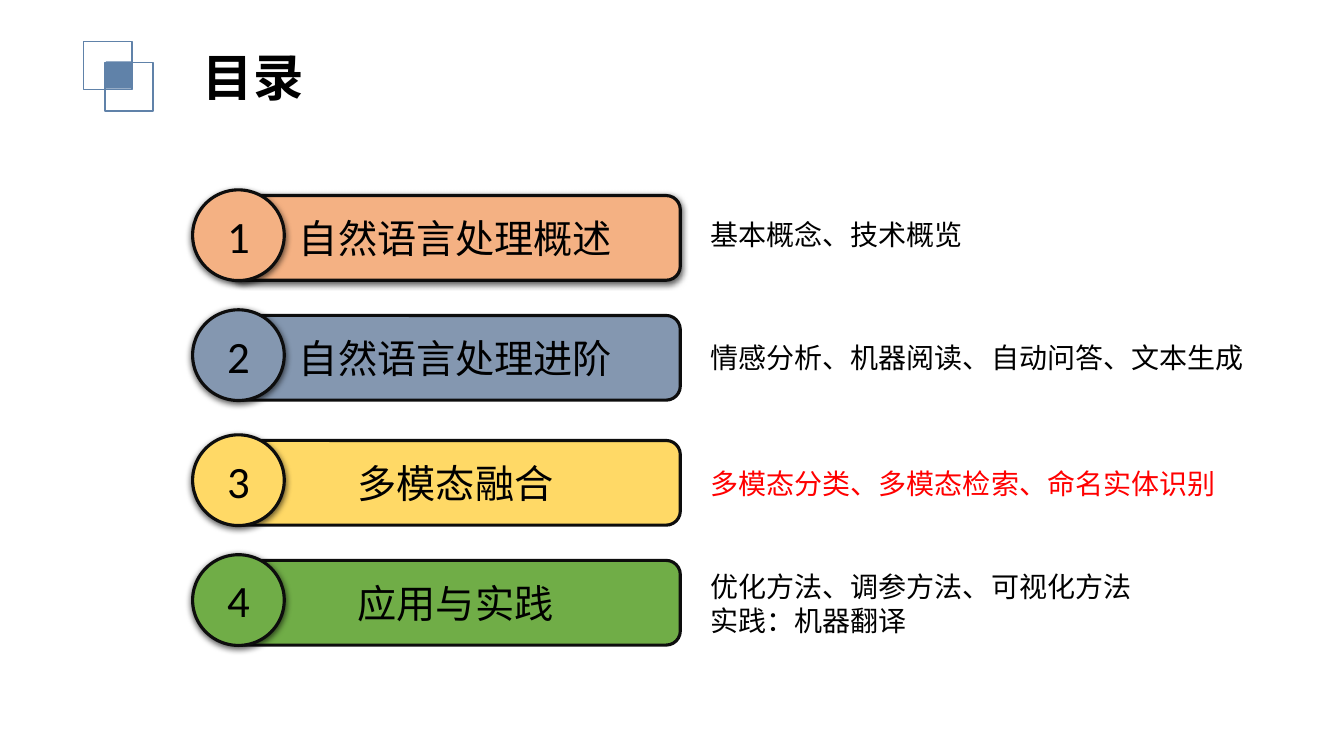
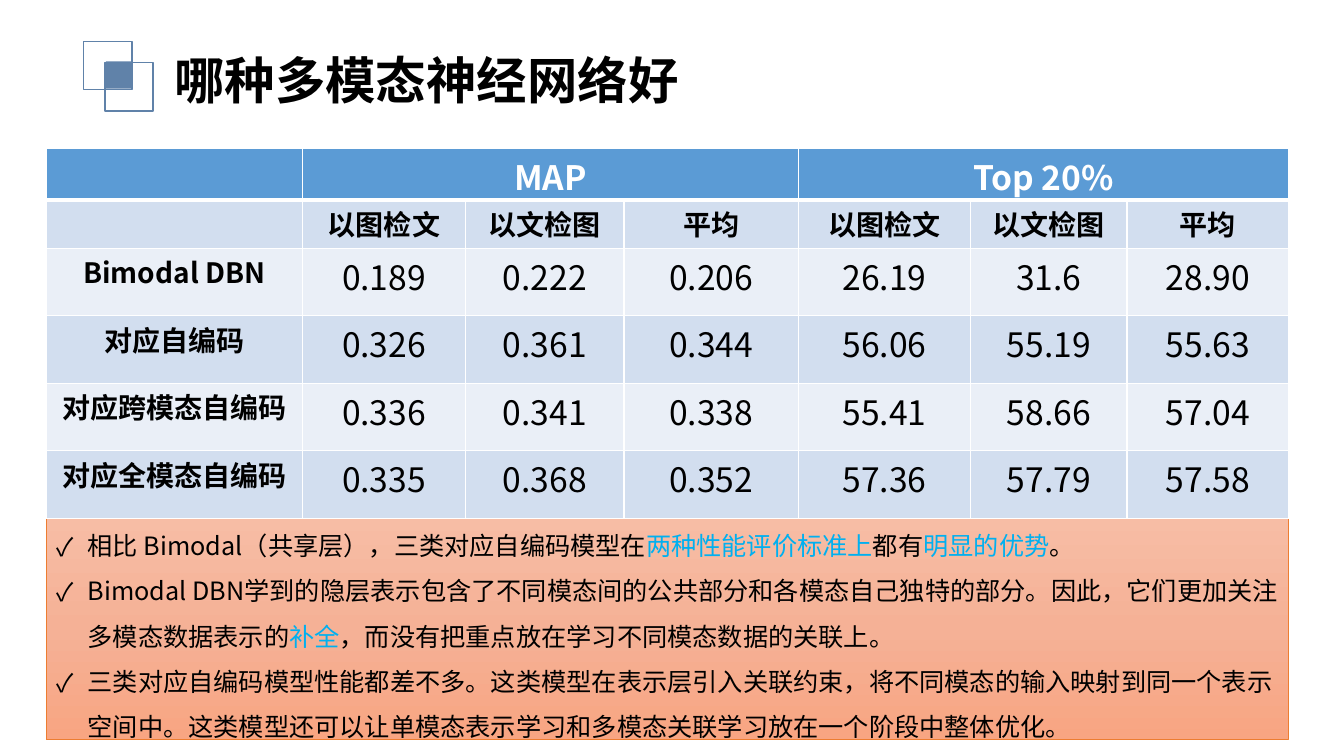
from copy import deepcopy

from lxml.etree import SubElement
from pptx import Presentation
from pptx.dml.color import RGBColor
from pptx.enum.shapes import MSO_SHAPE as Shape
from pptx.enum.text import MSO_ANCHOR as Anchor, MSO_AUTO_SIZE as AutoSize, PP_ALIGN as Align
from pptx.oxml.ns import qn
from pptx.util import Inches, Pt

WIDTH, HEIGHT = Inches(13.33), Inches(7.5)
CJK, LATIN = "Noto Sans CJK SC", "Calibri"

BLACK = RGBColor(0, 0, 0)
WHITE = RGBColor(255, 255, 255)
RED = RGBColor(255, 0, 0)
INK = RGBColor(0x0D, 0x0D, 0x0D)
STEEL = RGBColor(0x60, 0x82, 0xA9)
PEACH = RGBColor(0xF4, 0xB1, 0x83)
SLATE = RGBColor(0x84, 0x97, 0xB0)
YELLOW = RGBColor(0xFF, 0xD9, 0x66)
GREEN = RGBColor(0x70, 0xAD, 0x47)
HEADER_BLUE = RGBColor(0x5B, 0x9B, 0xD5)
BAND_DARK = RGBColor(0xD2, 0xDE, 0xEF)
BAND_LIGHT = RGBColor(0xEA, 0xEF, 0xF7)
SKY = RGBColor(0x00, 0xB0, 0xF0)
ORANGE = RGBColor(0xED, 0x7D, 0x31)
FINDINGS_STOPS = (
    (0, RGBColor(0xF7, 0xBD, 0xA5)),
    (0.5, RGBColor(0xF5, 0xB1, 0x96)),
    (1, RGBColor(0xF8, 0xA5, 0x82)),
)

CHAPTERS = (
    (25.87, PEACH, "自然语言处理概述", 28.13, BLACK, ("基本概念、技术概览",)),
    (41.73, SLATE, "自然语言处理进阶", 44.4, BLACK, ("情感分析、机器阅读、自动问答、文本生成",)),
    (58.27, YELLOW, "多模态融合", 61.07, RED, ("多模态分类、多模态检索、命名实体识别",)),
    (74.13, GREEN, "应用与实践", 74.67, BLACK, ("优化方法、调参方法、可视化方法", "实践：机器翻译")),
)

METRICS = ("以图检文", "以文检图", "平均")
RESULTS = (
    ("", "MAP", "", "", "Top 20%", "", ""),
    ("",) + METRICS * 2,
    ("Bimodal DBN", "0.189", "0.222", "0.206", "26.19", "31.6", "28.90"),
    ("对应自编码", "0.326", "0.361", "0.344", "56.06", "55.19", "55.63"),
    ("对应跨模态自编码", "0.336", "0.341", "0.338", "55.41", "58.66", "57.04"),
    ("对应全模态自编码", "0.335", "0.368", "0.352", "57.36", "57.79", "57.58"),
)
COLUMN_SHARES = (19.05, 12.15, 11.78, 12.98, 12.83, 11.63, 12)
ROW_SHARES = (6.8, 6.4) + (8.93,) * 4

FINDINGS = (
    (
        ("相比 Bimodal（共享层），三类对应自编码模型在", BLACK),
        ("两种性能评价标准上", SKY),
        ("都有", BLACK),
        ("明显的优势", SKY),
        ("。", BLACK),
    ),
    (
        ("Bimodal DBN学到的隐层表示包含了不同模态间的公共部分和各模态自己独特的部分。"
         "因此，它们更加关注多模态数据表示的", BLACK),
        ("补全", SKY),
        ("，而没有把重点放在学习不同模态数据的关联上。", BLACK),
    ),
    (
        ("三类对应自编码模型性能都差不多。这类模型在表示层引入关联约束，"
         "将不同模态的输入映射到同一个表示空间中。"
         "这类模型还可以让单模态表示学习和多模态关联学习放在一个阶段中整体优化。", BLACK),
    ),
)


def across(share):
    return round(WIDTH * share / 100)


def down(share):
    return round(HEIGHT * share / 100)


def area(left, top, width, height):
    return across(left), down(top), across(width), down(height)


def place(holder, *shares):
    holder.left, holder.top, holder.width, holder.height = area(*shares)


def add_run(paragraph, text, size, color=BLACK, bold=False, face=CJK):
    run = paragraph.add_run()
    run.text = text
    font = run.font
    font.size, font.bold, font.name = Pt(size), bold, face
    font.color.rgb = color
    SubElement(font._element, qn("a:ea"), typeface=face)


def add_shadow(shape):
    effects = shape._element.spPr.find(qn("a:effectLst"))
    shadow = SubElement(effects, qn("a:outerShdw"), blurRad=str(Pt(4.5)),
                        dist=str(Pt(1.5)), dir="5400000", rotWithShape="0")
    tint = SubElement(shadow, qn("a:srgbClr"), val=str(BLACK))
    SubElement(tint, qn("a:alpha"), val="63000")


def add_outlined(slide, kind, shares, fill=None, line=None, weight=1):
    shape = slide.shapes.add_shape(kind, *area(*shares))
    shape.shadow.inherit = False
    if fill is None:
        shape.fill.background()
    else:
        shape.fill.solid()
        shape.fill.fore_color.rgb = fill
    if line is None:
        shape.line.fill.background()
    else:
        shape.line.color.rgb = line
        shape.line.width = Pt(weight)
    return shape


def add_badge(slide, kind, shares, fill, text, size, face, shadowed):
    badge = add_outlined(slide, kind, shares, fill, INK, 2.25)
    if shadowed:
        add_shadow(badge)
    frame = badge.text_frame
    frame.vertical_anchor = Anchor.MIDDLE
    frame.paragraphs[0].alignment = Align.CENTER
    add_run(frame.paragraphs[0], text, size, face=face)


def add_titled_slide(deck, layout_index, title, left, top):
    slide = deck.slides.add_slide(deck.slide_layouts[layout_index])
    for corner in ((6.22, 5.47), (7.8, 8.27)):
        add_outlined(slide, Shape.RECTANGLE, corner + (3.6, 6.4), line=STEEL)
    add_outlined(slide, Shape.RECTANGLE, (7.87, 8.13, 1.88, 3.6), fill=STEEL)
    heading = slide.shapes.title
    place(heading, left, top, 82, 9.47)
    frame = heading.text_frame
    frame.auto_size = AutoSize.NONE
    frame.vertical_anchor = Anchor.TOP
    frame.paragraphs[0].alignment = Align.LEFT
    add_run(frame.paragraphs[0], title, 36, bold=True)
    return slide


def add_note(slide, top, lines, color):
    note = slide.shapes.add_textbox(*area(52.13, top, 46, 1.4 + 4.45 * len(lines)))
    frame = note.text_frame
    frame.word_wrap = True
    for index, text in enumerate(lines):
        paragraph = frame.add_paragraph() if index else frame.paragraphs[0]
        add_run(paragraph, text, 20, color)


def add_chapter(slide, number, top, fill, name, note_top, note_color, note_lines):
    add_badge(slide, Shape.ROUNDED_RECTANGLE, (17.17, top, 33.45, 11.2),
              fill, name, 28, CJK, number == 1)
    add_badge(slide, Shape.OVAL, (14.33, top - 0.75, 6.82, 12),
              fill, str(number), 32, LATIN, True)
    add_note(slide, note_top, note_lines, note_color)


def add_borders(cell, is_header):
    properties = cell._tc.get_or_add_tcPr()
    for side in "LRTB":
        weight = 3 if is_header and side == "B" else 1
        border = SubElement(properties, qn(f"a:ln{side}"), w=str(Pt(weight)))
        paint = SubElement(border, qn("a:solidFill"))
        SubElement(paint, qn("a:srgbClr"), val=str(WHITE))


def style_cell(cell, text, row, column):
    is_header = row == 0
    add_borders(cell, is_header)
    cell.fill.solid()
    cell.fill.fore_color.rgb = HEADER_BLUE if is_header else (BAND_LIGHT, BAND_DARK)[row % 2]
    cell.margin_top, cell.margin_bottom = Inches(0.03), 0
    if text:
        is_label = row == 1 or column == 0
        paragraph = cell.text_frame.paragraphs[0]
        paragraph.alignment = Align.CENTER
        add_run(paragraph, text, 20 if is_label else 24,
                WHITE if is_header else BLACK, is_header or is_label)


def add_results(slide):
    frame = slide.shapes.add_table(
        len(ROW_SHARES), len(COLUMN_SHARES),
        *area(3.45, 19.6, sum(COLUMN_SHARES), sum(ROW_SHARES)))
    table = frame.table
    for column, share in zip(table.columns, COLUMN_SHARES):
        column.width = across(share)
    for row, share in zip(table.rows, ROW_SHARES):
        row.height = down(share)
    for row, values in enumerate(RESULTS):
        for column, text in enumerate(values):
            style_cell(table.cell(row, column), text, row, column)
    for first in (1, 4):
        table.cell(0, first).merge(table.cell(0, first + 2))


def paint_gradient(shape, stops):
    shape.fill.gradient()
    shape.fill.gradient_angle = 270
    stop_list = shape._element.spPr.find(".//" + qn("a:gsLst"))
    stop_list.insert(1, deepcopy(stop_list[0]))
    for stop, (position, color) in zip(shape.fill.gradient_stops, stops):
        stop.position = position
        stop.color.rgb = color


def add_check_mark(paragraph):
    properties = paragraph._p.get_or_add_pPr()
    properties.set("marL", str(Inches(0.31)))
    properties.set("indent", str(-Inches(0.31)))
    SubElement(properties, qn("a:buFont"), typeface=CJK)
    SubElement(properties, qn("a:buChar"), char="✓")


def fill_findings(findings):
    place(findings, 3.45, 68.4, sum(COLUMN_SHARES), 29.47)
    paint_gradient(findings, FINDINGS_STOPS)
    findings.line.color.rgb = ORANGE
    findings.line.width = Pt(0.5)
    frame = findings.text_frame
    frame.auto_size = AutoSize.NONE
    frame.vertical_anchor = Anchor.MIDDLE
    for index, pieces in enumerate(FINDINGS):
        paragraph = frame.add_paragraph() if index else frame.paragraphs[0]
        add_check_mark(paragraph)
        paragraph.line_spacing = 1.5
        paragraph.space_before = Pt(0)
        for text, color in pieces:
            add_run(paragraph, text, 18, color)


def main():
    deck = Presentation()
    deck.slide_width, deck.slide_height = WIDTH, HEIGHT

    contents = add_titled_slide(deck, 5, "目录", 14.33, 5.47)
    for number, chapter in enumerate(CHAPTERS, 1):
        add_chapter(contents, number, *chapter)

    comparison = add_titled_slide(deck, 1, "哪种多模态神经网络好", 12.22, 5.87)
    add_results(comparison)
    fill_findings(comparison.placeholders[1])

    deck.save("out.pptx")


if __name__ == "__main__":
    main()
